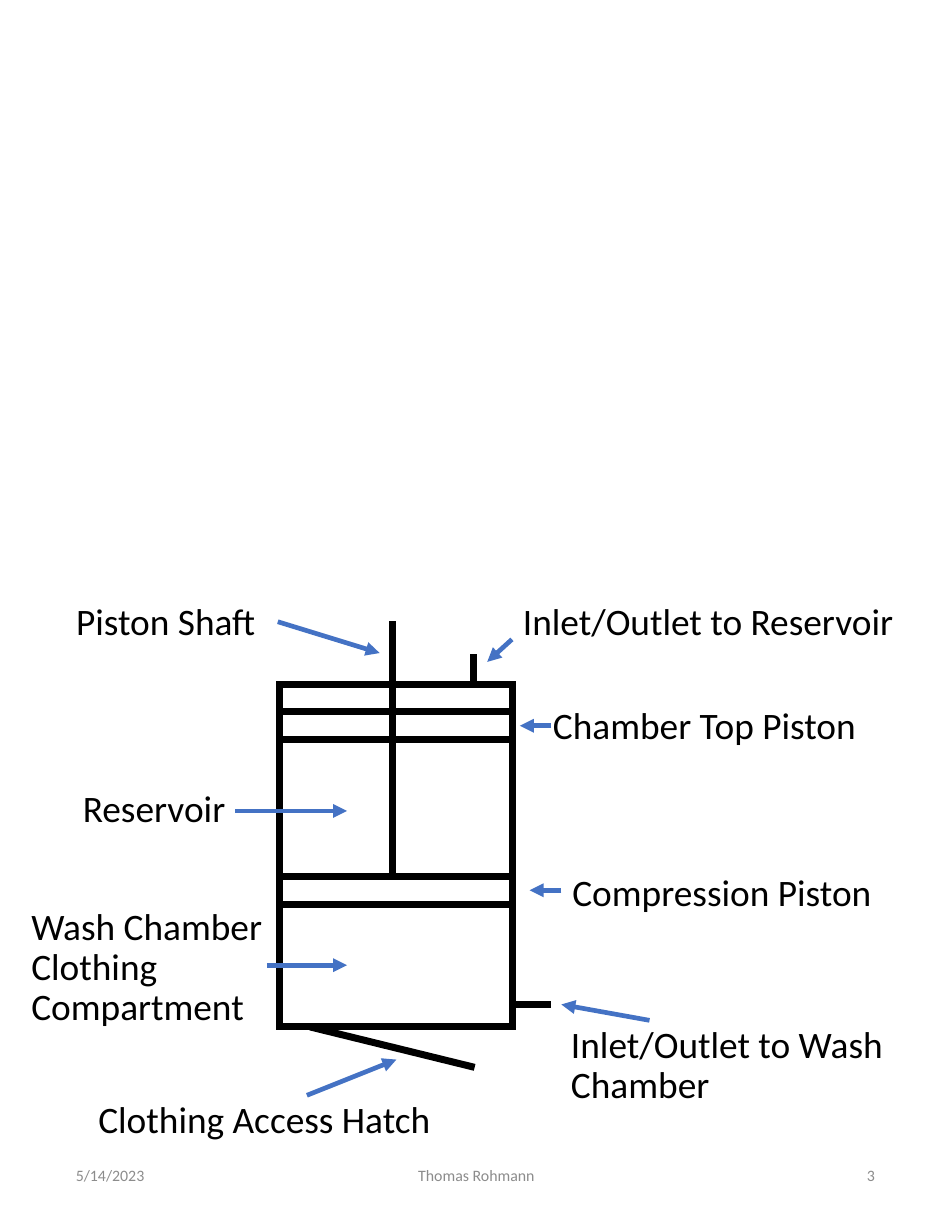
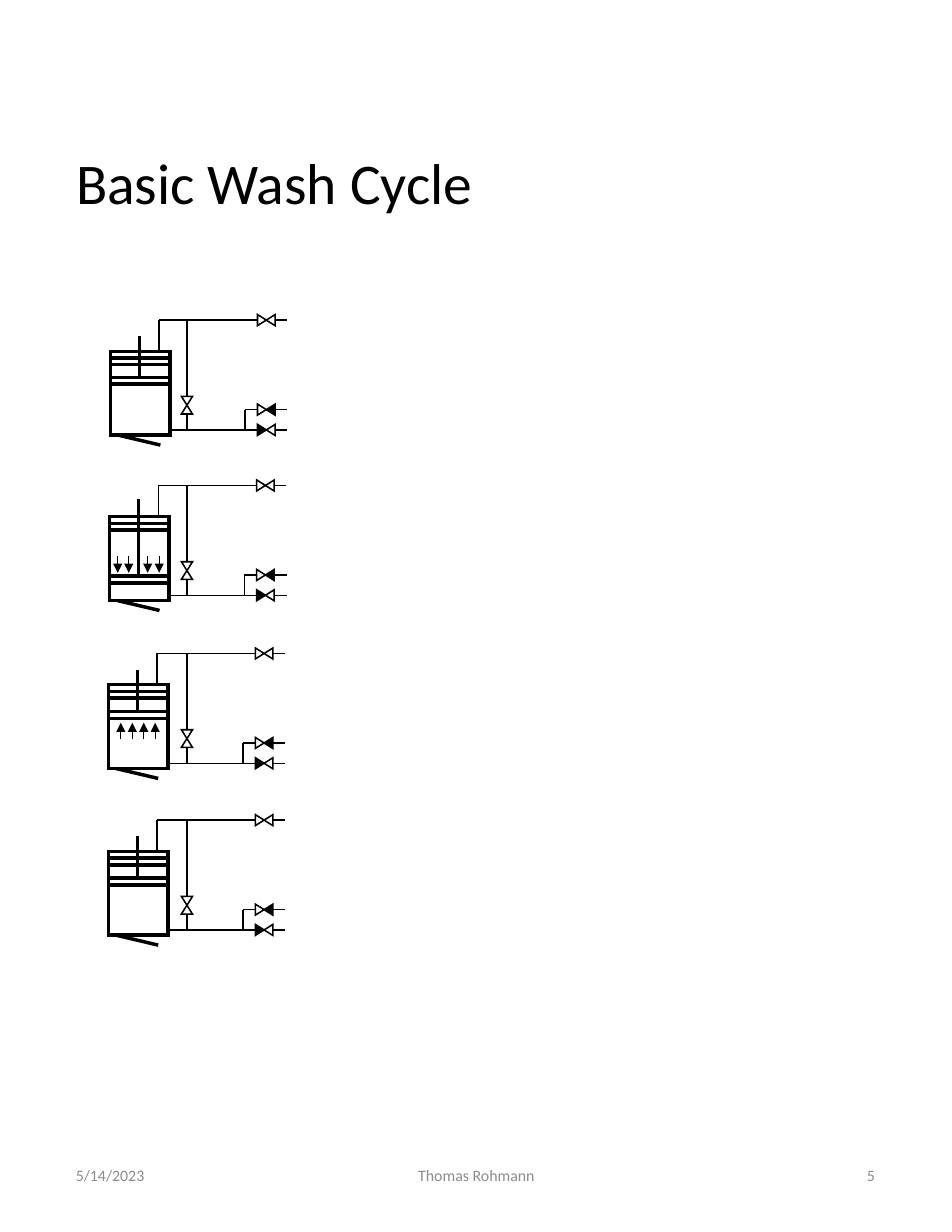
from dataclasses import dataclass

from lxml.etree import SubElement
from pptx import Presentation
from pptx.dml.color import RGBColor
from pptx.enum.shapes import MSO_CONNECTOR, MSO_SHAPE
from pptx.enum.text import MSO_ANCHOR, MSO_AUTO_SIZE, PP_ALIGN
from pptx.oxml.ns import qn
from pptx.util import Cm, Pt


@dataclass(frozen=True)
class Theme:
    font: str = "Calibri"
    ink: RGBColor = RGBColor(0, 0, 0)
    paper: RGBColor = RGBColor(255, 255, 255)
    blue: RGBColor = RGBColor(0x44, 0x72, 0xC4)
    gray: RGBColor = RGBColor(0x8C, 0x8C, 0x8C)
    title: float = 37
    label: float = 24
    foot: float = 10.2


THEME = Theme()
TIGHT = {"line_spacing": 0.9, "space_before": Pt(8.5)}
LOOSE = {"line_spacing": 1.0, "space_before": Pt(0)}

# Labels of the washer: text, box in cm, paragraph format
LABELS = [
    ("Clothing Access Hatch", (1.98, 24.84, 8.15, 1.98), TIGHT),
    ("Inlet/Outlet to Wash Chamber", (12.7, 23.14, 7.7, 2.26), TIGHT),
    ("Wash Chamber Clothing Compartment", (0.46, 20.47, 7.7, 3.28), TIGHT),
    ("Compression Piston", (12.73, 19.58, 8.05, 1.27), LOOSE),
    ("Chamber Top Piston", (12.29, 15.8, 7.8, 1.32), LOOSE),
    ("Reservoir", (1.63, 17.68, 4.04, 1.32), LOOSE),
    ("Inlet/Outlet to Reservoir", (11.61, 13.56, 9.88, 1.9), TIGHT),
]
POINTERS = [
    (6.3, 14.1, 8.61, 14.81),
    (11.61, 14.5, 11.05, 15.01),
    (12.5, 16.46, 11.79, 16.46),
    (12.73, 20.19, 12.01, 20.19),
    (6.96, 24.84, 8.99, 24.03),
    (14.73, 23.14, 12.73, 22.78),
    (6.05, 21.89, 7.87, 21.89),
    (5.33, 18.39, 7.87, 18.39),
]

# Wash cycle steps: vessel corner, piston depth, rod rise,
# arrow columns, arrow start and end heights
STEPS = [
    (2.51, 7.97, 0.31, 0.18, (), (0, 0)),
    (2.49, 11.72, 0.71, 0.21, (0.18, 0.43, 0.86, 1.12), (0.89, 1.27)),
    (2.46, 15.53, 0.32, 0.18, (0.28, 0.54, 0.8, 1.06), (1.24, 0.86)),
    (2.46, 19.31, 0.32, 0.18, (), (0, 0)),
]


# Basic elements
def apply(target, values):
    for name, value in values.items():
        setattr(target, name, value)


def place(shape, box):
    names = ("left", "top", "width", "height")
    apply(shape, dict(zip(names, map(Cm, box))))


def write(shape, text, size, color=THEME.ink, anchor=MSO_ANCHOR.TOP, form=LOOSE,
          align=PP_ALIGN.LEFT):
    frame = shape.text_frame
    frame.text = text
    apply(frame, {"word_wrap": True, "auto_size": MSO_AUTO_SIZE.NONE,
                  "vertical_anchor": anchor})
    par = frame.paragraphs[0]
    apply(par, {**form, "alignment": align})
    font = par.runs[0].font
    apply(font, {"name": THEME.font, "size": Pt(size)})
    font.color.rgb = color


def label(slide, text, box, size=THEME.label, **style):
    write(slide.shapes.add_textbox(*map(Cm, box)), text, size, **style)


def line(shapes, ends, width, color=THEME.ink, arrow=False):
    link = shapes.add_connector(MSO_CONNECTOR.STRAIGHT, *map(Cm, ends))
    link.line.color.rgb = color
    link.line.width = Pt(width)
    if arrow:
        SubElement(link.line._get_or_add_ln(), qn("a:tailEnd"), type="triangle")
    SubElement(link._element.spPr, qn("a:effectLst"))


def block(shapes, kind, box, width, fill=THEME.paper, turn=0):
    shape = shapes.add_shape(kind, *map(Cm, box))
    shape.shadow.inherit = False
    shape.rotation = turn
    shape.fill.solid()
    shape.fill.fore_color.rgb = fill
    shape.line.color.rgb = THEME.ink
    shape.line.width = Pt(width)
    SubElement(shape.line._get_or_add_ln(), qn("a:miter"), lim="800000")


# Washer parts
def vessel(slide, x, y, w, h, depth, rise, width):
    parts = slide.shapes.add_group_shape().shapes
    plate = 0.082 * h
    for top, high in ((0, h), (depth * h, plate), (0.078 * h, plate)):
        block(parts, MSO_SHAPE.RECTANGLE, (x, y + top, w, high), width)
    line(parts, (x + 0.13 * w, y + h, x + 0.836 * w, y + 1.118 * h), width)
    rod = x + 0.485 * w
    line(parts, (rod, y + depth * h, rod, y - rise * h), width)


def valve(slide, x, y, fills, upright=False):
    parts = slide.shapes.add_group_shape().shapes
    base, high = 0.25, 0.2
    for side, fill in zip((-1, 1), fills):
        shift = side * high / 2
        mid = (x, y + shift) if upright else (x + shift, y)
        turn = (180 if upright else 90) + (180 if side > 0 else 0)
        box = (mid[0] - base / 2, mid[1] - high / 2, base, high)
        block(parts, MSO_SHAPE.ISOSCELES_TRIANGLE, box, 1, fill, turn % 360)


def cycle(slide, x, y, depth, rise, columns, span):
    bypass = 4.24
    supply, branch, drain = y - 0.71, y + 1.32, y + 1.78
    vessel(slide, x, y, 1.35, 1.9, depth, rise, 2.25)
    # Pipes
    for ends in (
        (x + 1.1, supply, x + 4, supply),
        (x + 1.1, supply, x + 1.1, y),
        (bypass, supply, bypass, drain),
        (x + 1.33, drain, x + 4.01, drain),
        (x + 3.05, branch, x + 4.01, branch),
        (x + 3.05, branch, x + 3.05, drain),
    ):
        line(slide.shapes, ends, 1)
    # Valves
    light, dark = THEME.paper, THEME.ink
    for level, fills in ((supply, (light, light)), (branch, (light, dark)),
                         (drain, (dark, light))):
        valve(slide, x + 3.53, level, fills)
    valve(slide, bypass, y + 1.22, (light, light), upright=True)
    # Piston motion
    for col in columns:
        ends = (x + col, y + span[0], x + col, y + span[1])
        line(slide.shapes, ends, 0.5, arrow=True)


def footer(slide, number):
    for text, left, width, align in (
        ("5/14/2023", 1.47, 4.85, PP_ALIGN.LEFT),
        ("Thomas Rohmann", 7.16, 7.29, PP_ALIGN.CENTER),
        (number, 15.24, 4.85, PP_ALIGN.RIGHT),
    ):
        label(slide, text, (left, 25.91, width, 1.5), THEME.foot,
              color=THEME.gray, anchor=MSO_ANCHOR.MIDDLE, align=align)


# Slides
def washer(deck):
    slide = deck.slides.add_slide(deck.slide_layouts[1])
    title = slide.shapes.title._element
    title.getparent().remove(title)
    body = slide.placeholders[1]
    place(body, (1.47, 13.56, 5.03, 1.37))
    write(body, "Piston Shaft", THEME.label, form=TIGHT)
    props = body.text_frame.paragraphs[0]._p.get_or_add_pPr()
    for name in ("marL", "indent"):
        props.set(name, "0")
    SubElement(props, qn("a:buNone"))

    vessel(slide, 6.35, 15.52, 5.28, 7.77, 0.56, 0.186, 4.5)
    for port in ((10.74, 15.52, 10.74, 14.83), (11.63, 22.78, 12.5, 22.78)):
        line(slide.shapes, port, 4.5)
    for text, box, form in LABELS:
        label(slide, text, box, form=form)
    for ends in POINTERS:
        line(slide.shapes, ends, 3, THEME.blue, arrow=True)
    footer(slide, "3")


def process(deck):
    slide = deck.slides.add_slide(deck.slide_layouts[5])
    title = slide.shapes.title
    place(title, (1.47, 1.5, 18.62, 5.41))
    write(title, "Basic Wash Cycle", THEME.title, anchor=MSO_ANCHOR.MIDDLE,
          form={"line_spacing": 0.9})
    for step in STEPS:
        cycle(slide, *step)
    footer(slide, "5")


def main():
    deck = Presentation()
    apply(deck, {"slide_width": Cm(21.59), "slide_height": Cm(27.94)})
    washer(deck)
    process(deck)
    deck.save("out.pptx")


if __name__ == "__main__":
    main()
